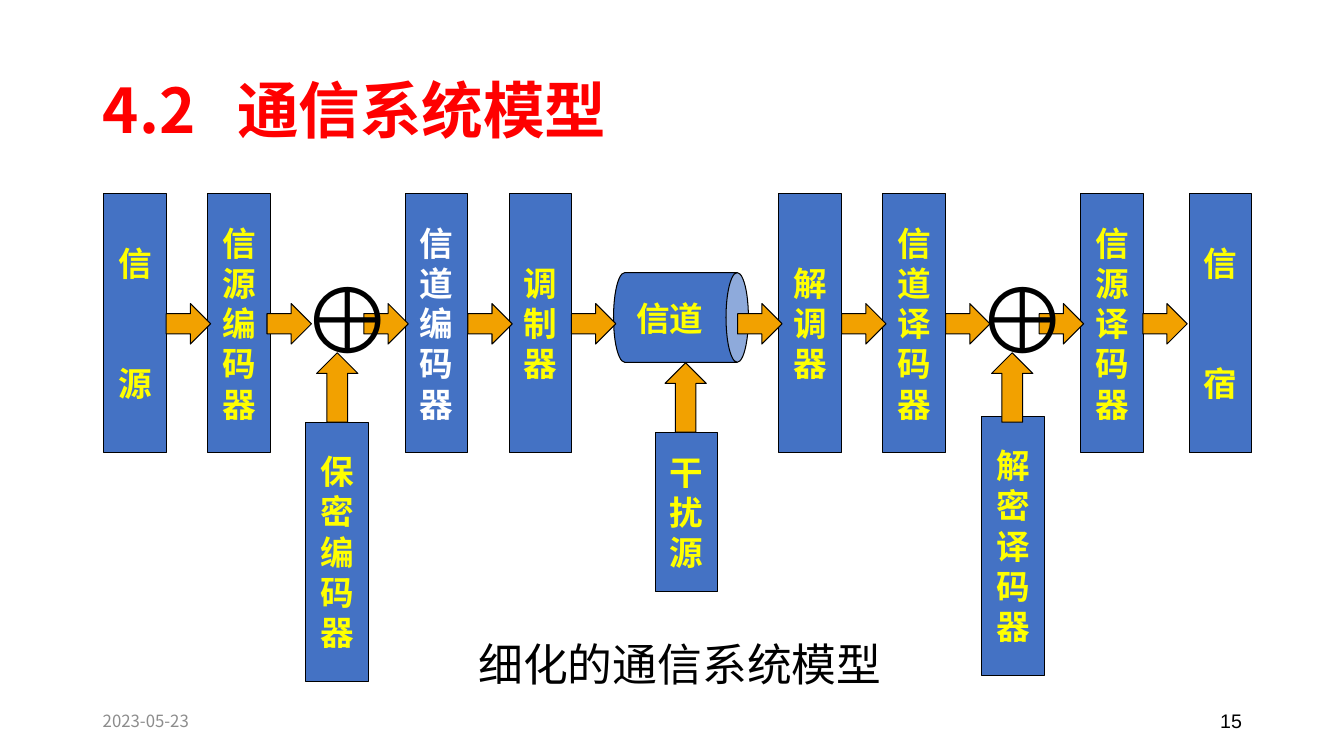
"""Build the slide that shows a detailed communication system model."""
from pptx import Presentation
from pptx.dml.color import RGBColor
from pptx.enum.shapes import MSO_SHAPE as Kind
from pptx.enum.text import MSO_ANCHOR as Anchor, PP_ALIGN as Align
from pptx.oxml.ns import qn
from pptx.util import Cm, Pt

RED = RGBColor(0xFF, 0, 0)
BLUE = RGBColor(0x44, 0x72, 0xC4)
GOLD = RGBColor(0xF2, 0xA1, 0)
YELLOW = RGBColor(0xFF, 0xFF, 0)
WHITE = RGBColor(0xFF, 0xFF, 0xFF)
BLACK = RGBColor(0, 0, 0)
GREY = RGBColor(0x8C, 0x8C, 0x8C)
SANS = "Noto Sans CJK SC"
NARROW = "Arial Narrow"

deck = Presentation()
deck.slide_width, deck.slide_height = Cm(33.87), Cm(19.05)
slide = deck.slides.add_slide(deck.slide_layouts[5])
shapes = slide.shapes


def style(para, face, size, color, bold=False, align=Align.CENTER):
    para.alignment = align
    font = para.font
    font.name, font.size, font.bold = face, Pt(size), bold
    font.color.rgb = color
    east = font._element.makeelement(qn("a:ea"), {"typeface": face})
    font._element.append(east)


def draw(kind, x, y, wide, high, fill):
    shape = shapes.add_shape(kind, Cm(x), Cm(y), Cm(wide), Cm(high))
    shape.shadow.inherit = False
    shape.fill.solid()
    shape.fill.fore_color.rgb = fill
    shape.line.color.rgb = BLACK
    shape.line.width = Pt(0.75)
    return shape


title = shapes.title
title.left, title.top, title.width, title.height = Cm(2.34), Cm(1.02), Cm(29.21), Cm(3.68)
title.text_frame.vertical_anchor = Anchor.MIDDLE
head = title.text_frame.paragraphs[0]
head.text = "4.2\t通信系统模型"
props = head._p.get_or_add_pPr()
tabs = props.makeelement(qn("a:tabLst"), {})
tabs.append(tabs.makeelement(qn("a:tab"), {"pos": str(Cm(3.38)), "algn": "l"}))
props.append(tabs)
style(head, SANS, 44, RED, True, Align.LEFT)
head.line_spacing = 0.9

TOP, TALL = 4.88, 6.53
blocks = [
    ("信源", 2.62, TOP, TALL, YELLOW, 57),
    ("信源编码器", 5.23, TOP, TALL, YELLOW, 0),
    ("保密编码器", 7.7, 10.64, TALL, YELLOW, 0),
    ("信道编码器", 10.21, TOP, TALL, WHITE, 0),
    ("调制器", 12.83, TOP, TALL, YELLOW, 0),
    ("干扰源", 16.51, 10.9, 4.01, YELLOW, 0),
    ("解调器", 19.63, TOP, TALL, YELLOW, 0),
    ("信道译码器", 22.25, TOP, TALL, YELLOW, 0),
    ("解密译码器", 24.74, 10.49, TALL, YELLOW, 0),
    ("信源译码器", 27.23, TOP, TALL, YELLOW, 0),
    ("信宿", 29.97, TOP, TALL, YELLOW, 57),
]
for name, x, y, high, color, gap in blocks:
    frame = draw(Kind.RECTANGLE, x, y, 1.58, high, BLUE).text_frame
    frame.word_wrap = False
    frame.vertical_anchor = Anchor.MIDDLE
    for i, sign in enumerate(name):
        para = frame.add_paragraph() if i else frame.paragraphs[0]
        para.text = sign
        if i and gap:
            para.space_before = Pt(gap)
        style(para, NARROW, 24, color, True)

for x, y in [(7.98, 8.89), (16.76, 9.14), (24.99, 8.89)]:
    draw(Kind.UP_ARROW, x, y, 1.04, 1.75, GOLD)

draw(Kind.CAN, 16.03, 6.3, 2.26, 3.4, BLUE).rotation = 90

for x in [4.19, 6.73, 9.17, 11.79, 14.4, 18.59, 21.21, 23.83, 26.19, 28.8]:
    draw(Kind.RIGHT_ARROW, x, 7.65, 1.12, 1.02, GOLD)

MID, LOW = Anchor.MIDDLE, 17.65
labels = [
    ("⊕", 7.34, 6.45, 2.34, 3.07, NARROW, 66, BLACK, False, Align.CENTER, Anchor.TOP),
    ("⊕", 24.36, 6.45, 2.34, 3.07, NARROW, 66, BLACK, False, Align.CENTER, Anchor.TOP),
    ("信道", 15.44, 7.39, 2.87, 1.32, NARROW, 24, YELLOW, True, Align.CENTER, Anchor.TOP),
    ("细化的通信系统模型", 10.46, 15.93, 13.36, 1.63, SANS, 32, BLACK, False, Align.CENTER, Anchor.TOP),
    ("2023-05-23", 2.34, LOW, 7.62, 1.02, SANS, 12, GREY, False, Align.LEFT, MID),
    ("15", 23.93, LOW, 7.62, 1.02, "Arial", 14, BLACK, False, Align.RIGHT, MID),
]
for text, x, y, wide, high, face, size, color, bold, align, anchor in labels:
    frame = shapes.add_textbox(Cm(x), Cm(y), Cm(wide), Cm(high)).text_frame
    frame.word_wrap = True
    frame.vertical_anchor = anchor
    frame.paragraphs[0].text = text
    style(frame.paragraphs[0], face, size, color, bold, align)

deck.save("out.pptx")
